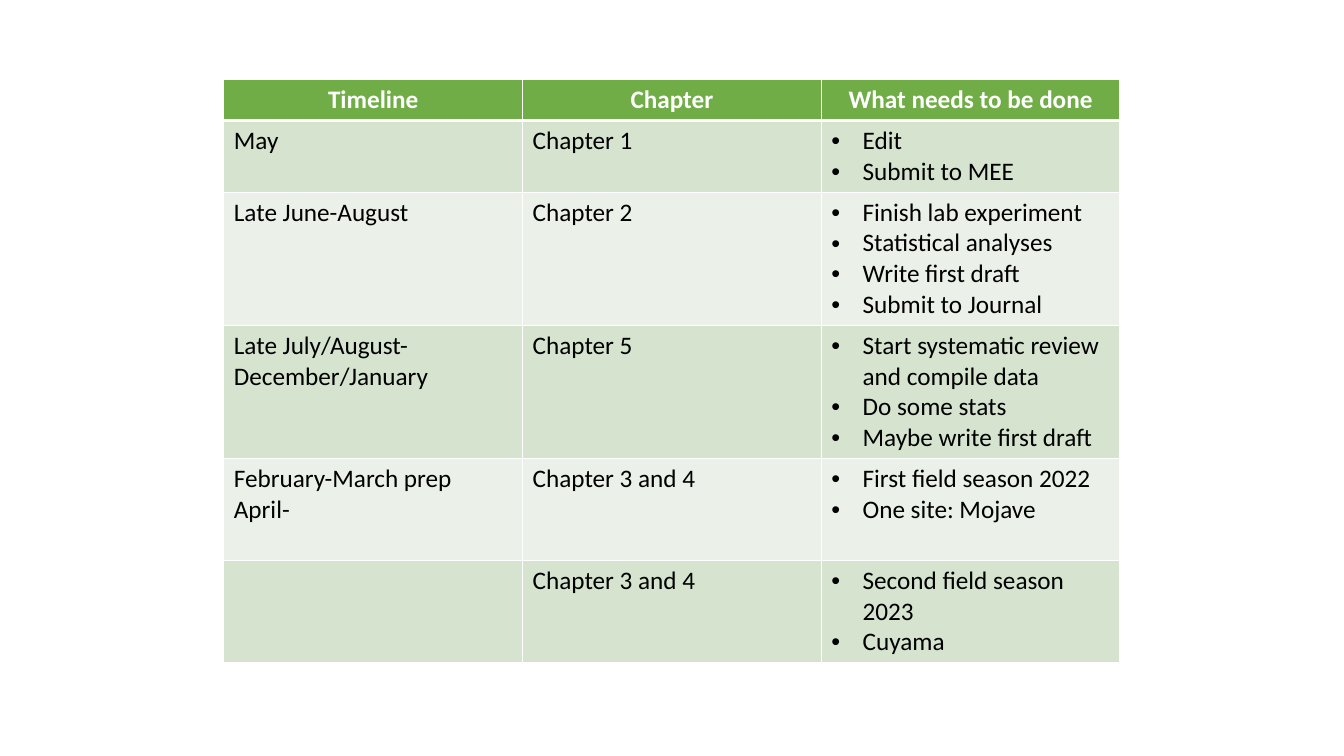
import pptx
import pptx.util
import pptx.dml.color
import pptx.enum.text
import pptx.oxml.ns
import lxml.etree

Inches = pptx.util.Inches
Pt = pptx.util.Pt
RGBColor = pptx.dml.color.RGBColor

WHITE = RGBColor(0xFF, 0xFF, 0xFF)
BLACK = RGBColor(0x00, 0x00, 0x00)
GREEN = RGBColor(0x70, 0xAD, 0x47)
SAGE = RGBColor(0xD5, 0xE3, 0xCF)
MIST = RGBColor(0xEB, 0xF1, 0xE9)

HEADS = ["Timeline", "Chapter", "What needs to be done"]
PLAN = [
    ("May", "Chapter 1", "Edit\nSubmit to MEE"),
    ("Late June-August", "Chapter 2",
     "Finish lab experiment\nStatistical analyses\nWrite first draft\nSubmit to Journal"),
    ("Late July/August-December/January", "Chapter 5",
     "Start systematic review and compile data\nDo some stats\nMaybe write first draft"),
    ("February-March prep\nApril-", "Chapter 3 and 4",
     "First field season 2022\nOne site: Mojave"),
    ("", "Chapter 3 and 4", "Second field season 2023\nCuyama"),
]
HEIGHTS = [0.4, 0.7, 1.32, 1.32, 1.01, 1.01]


def add_node(parent, tag, **attrs):
    """Append a drawing element with the given attributes."""
    node = lxml.etree.SubElement(parent, pptx.oxml.ns.qn(tag))
    for name, value in attrs.items():
        node.set(name, str(value))
    return node


def add_edges(cell, top, bottom):
    """Draw white borders around a cell, with top and bottom widths in points."""
    props = cell._tc.get_or_add_tcPr()
    for side, width in (("L", 1), ("R", 1), ("T", top), ("B", bottom)):
        line = add_node(props, "a:ln" + side, w=Pt(width))
        add_node(add_node(line, "a:solidFill"), "a:srgbClr", val=WHITE)


def add_bullet(para):
    """Give a paragraph a round bullet with a hanging indent."""
    props = para._p.get_or_add_pPr()
    props.set("marL", str(Inches(0.31)))
    props.set("indent", str(Inches(-0.31)))
    add_node(props, "a:buFont", typeface="Arial")
    add_node(props, "a:buChar", char="•")


def fill_cell(cell, text, row, col):
    """Write and style one cell according to its row and column."""
    head = row == 0
    add_edges(cell, 3 if row == 1 else 1, 3 if head else 1)
    cell.fill.solid()
    cell.fill.fore_color.rgb = GREEN if head else SAGE if row % 2 else MIST
    cell.text_frame.text = text
    for para in cell.text_frame.paragraphs:
        if head:
            para.alignment = pptx.enum.text.PP_ALIGN.CENTER
        elif col == 2:
            add_bullet(para)
        for run in para.runs:
            run.font.name = "Calibri"
            run.font.size = Pt(18)
            run.font.bold = head
            run.font.color.rgb = WHITE if head else BLACK


def add_plan(slide, left, top, width):
    """Place the timeline table at the given corner and width."""
    rows = [HEADS] + PLAN
    frame = slide.shapes.add_table(
        len(rows), len(HEADS), Inches(left), Inches(top),
        Inches(width), Inches(sum(HEIGHTS)))
    table = frame.table
    for column in table.columns:
        column.width = Inches(width / len(HEADS))
    for row, texts in enumerate(rows):
        table.rows[row].height = Inches(HEIGHTS[row])
        for col, text in enumerate(texts):
            fill_cell(table.cell(row, col), text, row, col)


def main():
    """Build the slide and save it."""
    deck = pptx.Presentation()
    deck.slide_width = Inches(13.33)
    deck.slide_height = Inches(7.5)
    slide = deck.slides.add_slide(deck.slide_layouts[6])
    add_plan(slide, 2.22, 0.79, 8.89)
    deck.save("out.pptx")


if __name__ == "__main__":
    main()
